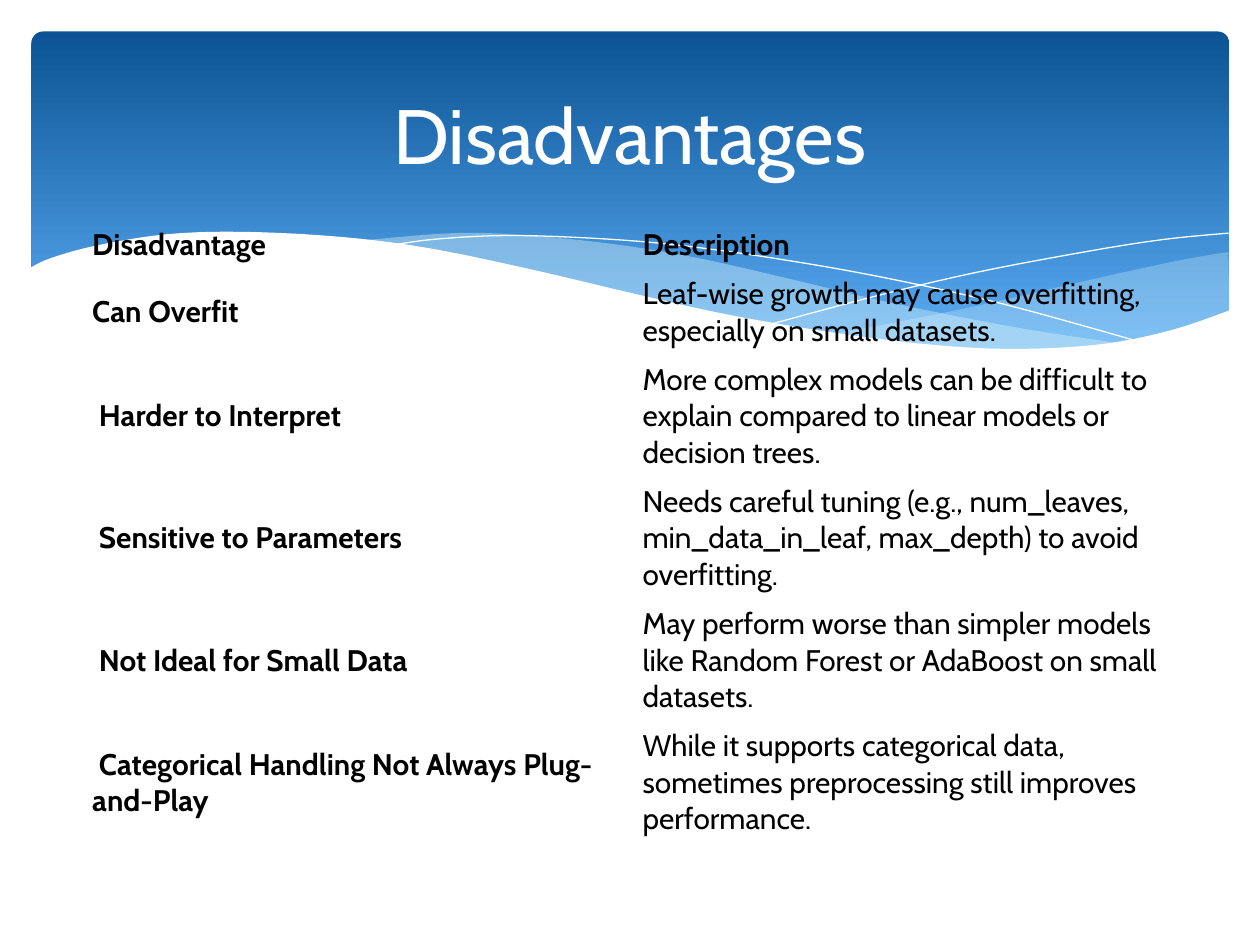
from lxml.etree import SubElement
from pptx import Presentation
from pptx.dml.color import RGBColor
from pptx.enum.shapes import MSO_SHAPE as Shape
from pptx.enum.text import MSO_ANCHOR as Anchor, PP_ALIGN as Align
from pptx.oxml.ns import qn
from pptx.util import Pt

NAVY = RGBColor(0x0B, 0x53, 0x94)
SKY = RGBColor(0x59, 0xAA, 0xF2)
MIST = RGBColor(0xDB, 0xF5, 0xF9)
WHITE = RGBColor(0xFF, 0xFF, 0xFF)
BLACK = RGBColor(0, 0, 0)
PLAIN = "{2D5ABB26-0587-4C30-8999-92F81FD0307C}"  # no style, no grid

RIGHT = [
    [(702, 144), (673, 149), (620, 160.6), (561, 174.2), (508, 185), (476, 190.8)],
    [(476, 190.8), (518, 195.8), (554, 199.4), (586, 200.2), (615, 198.7),
     (646, 194.4), (673, 188.6), (702.5, 177.8)],
]
BAND = [
    [(643, 196.6), (581, 187.2), (508, 172.8), (453, 159.8), (399.6, 147.6),
     (352, 139.7), (302.4, 134.6), (260, 133.2), (206, 137.5)],
    [(206, 137.5), (260.6, 146.2), (323.3, 159.8), (381.6, 172.8), (445, 185.8),
     (500.4, 194.4), (556.6, 199.4), (596.2, 200.2), (643, 196.6)],
]
FALL = [[(222.5, 140.4), (247.7, 136.8), (288.7, 134.6), (337.7, 136.1), (383.8, 139.7),
         (437.8, 146.9), (500.4, 157.7), (572.4, 173.5), (653, 195.8)]]
RISE = [[(441.4, 185), (500.4, 169.2), (558.7, 155.5), (623.5, 143.3),
         (665.3, 136.8), (702, 133.2)]]
PAGE = [
    [(703.4, 177.1), (669.6, 188.6), (630, 196.6), (582.5, 199.4), (535.7, 197.3),
     (481, 190.8), (416.9, 180), (362.2, 167.8), (301, 153.4), (244.8, 141.8),
     (195, 135.4), (139, 132.5), (95, 133.9), (54.7, 140.4), (28.8, 147.6), (16.6, 153.4)],
    [(16.6, 153.4), (16.6, 236.9)],
    [(16.6, 236.9), (703.4, 236.9)],
]
ROWS = [
    ("Disadvantage", "Description"),
    ("Can Overfit", "Leaf-wise growth may cause overfitting, especially on small datasets."),
    (" Harder to Interpret", "More complex models can be difficult to explain "
     "compared to linear models or decision trees."),
    (" Sensitive to Parameters", "Needs careful tuning (e.g., num_leaves, "
     "min_data_in_leaf, max_depth) to avoid overfitting."),
    (" Not Ideal for Small Data", "May perform worse than simpler models like "
     "Random Forest or AdaBoost on small datasets."),
    (" Categorical Handling Not Always Plug-and-Play", "While it supports categorical "
     "data, sometimes preprocessing still improves performance."),
]
HEIGHTS = [28, 49] + [69.8] * 4


def smooth(knots, steps=5):
    """Return points on a Catmull-Rom curve through the knots."""
    ends = [knots[0], *knots, knots[-1]]
    points = [knots[0]]
    for a, b, c, d in zip(ends, ends[1:], ends[2:], ends[3:]):
        for step in range(1, steps + 1):
            t = step / steps
            points.append(tuple(
                (2 * q + (r - p) * t + (2 * p - 5 * q + 4 * r - s) * t ** 2
                 + (3 * q - p - 3 * r + s) * t ** 3) / 2
                for p, q, r, s in zip(a, b, c, d)))
    return points


class Deck:
    font = "Cabin"

    def __init__(self, width, height):
        self.prs = Presentation()
        self.prs.slide_width, self.prs.slide_height = Pt(width), Pt(height)
        self.slide = self.prs.slides.add_slide(self.prs.slide_layouts[6])
        self.shapes = self.slide.shapes

    def style(self, para, size, color, bold=False):
        font = para.font
        font.name, font.size, font.bold = self.font, Pt(size), bold
        font.color.rgb = color

    def banner(self, *box):
        shape = self.shapes.add_shape(Shape.ROUNDED_RECTANGLE, *map(Pt, box))
        shape.adjustments[0] = 0.034
        shape.shadow.inherit = False
        shape.line.fill.background()
        shape.fill.gradient()
        shape.fill.gradient_angle = 270
        stops = shape.fill.gradient_stops
        for stop, place, color in zip(stops, (0, 0.9), (NAVY, SKY)):
            stop.position, stop.color.rgb = place, color

    def trace(self, curves, closed):
        points = [(Pt(x), Pt(y)) for curve in curves for x, y in smooth(curve)]
        pen = self.shapes.build_freeform(*points[0], scale=1.0)
        pen.add_line_segments(points[1:], close=closed)
        shape = pen.convert_to_shape()
        shape.shadow.inherit = False
        return shape

    def wave(self, curves, color, alpha=100):
        shape = self.trace(curves, True)
        shape.line.fill.background()
        shape.fill.solid()
        shape.fill.fore_color.rgb = color
        if alpha < 100:
            tone = shape.fill._xPr.find(qn("a:solidFill"))[0]
            SubElement(tone, qn("a:alpha"), val=str(alpha * 1000))

    def thread(self, curves, color):
        shape = self.trace(curves, False)
        shape.fill.background()
        shape.line.color.rgb = color
        shape.line.width = Pt(0)

    def title(self, text, *box):
        frame = self.shapes.add_textbox(*map(Pt, box)).text_frame
        frame.word_wrap = True
        frame.vertical_anchor = Anchor.MIDDLE
        para = frame.paragraphs[0]
        para.text, para.alignment = text, Align.CENTER
        self.style(para, 44, WHITE)

    def table(self, rows, heights, left, top, width):
        cols = len(rows[0])
        frame = self.shapes.add_table(len(rows), cols, Pt(left), Pt(top),
                                      Pt(width), Pt(sum(heights)))
        table = frame.table
        table.horz_banding = False
        table._tbl.tblPr.find(qn("a:tableStyleId")).text = PLAIN
        for i, (row, high) in enumerate(zip(rows, heights)):
            table.rows[i].height = Pt(high)
            for j, text in enumerate(row):
                cell = table.cell(i, j)
                cell.fill.background()
                cell.vertical_anchor = Anchor.MIDDLE
                para = cell.text_frame.paragraphs[0]
                para.text = text
                self.style(para, 17, BLACK, i == 0 or j == 0)


def main():
    deck = Deck(720, 540)
    deck.banner(18, 18, 684.5, 194.4)
    deck.wave(RIGHT, MIST, 29)
    deck.wave(BAND, MIST, 40)
    deck.thread(FALL, WHITE)
    deck.thread(RISE, WHITE)
    deck.wave(PAGE, WHITE)
    deck.title("Disadvantages", 36, 27, 648, 98.5)
    deck.table(ROWS, HEIGHTS, 45.5, 126, 629)
    deck.prs.save("out.pptx")


if __name__ == "__main__":
    main()
